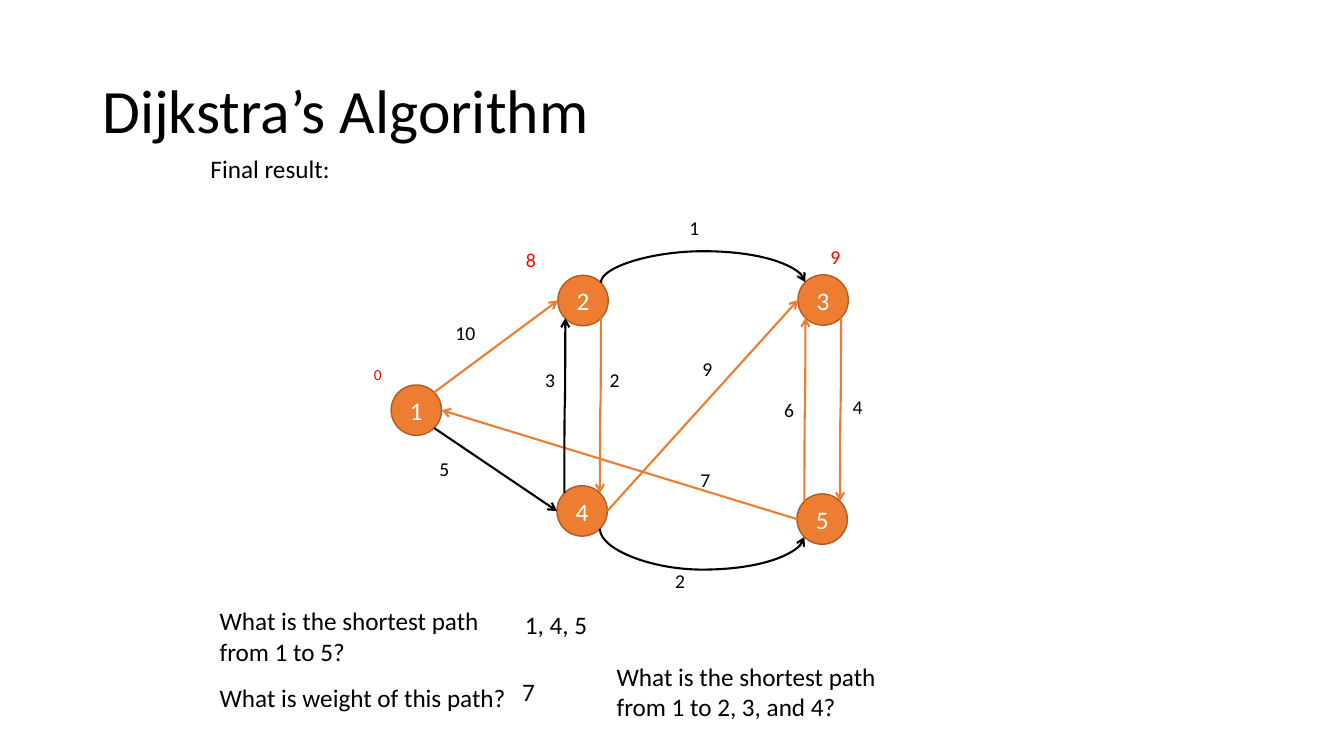
from dataclasses import dataclass
from lxml import etree
from pptx import Presentation
from pptx.dml.color import RGBColor as RGB
from pptx.enum.shapes import MSO_CONNECTOR as CXN, MSO_SHAPE as SHAPE
from pptx.enum.text import MSO_ANCHOR as ANCHOR, MSO_AUTO_SIZE as AUTO, PP_ALIGN as ALIGN
from pptx.oxml.ns import qn
from pptx.util import Pt


@dataclass(frozen=True)
class Theme:
    font: str = "Calibri"
    black: RGB = RGB(0x00, 0x00, 0x00)
    white: RGB = RGB(0xFF, 0xFF, 0xFF)
    red: RGB = RGB(0xFF, 0x00, 0x00)
    orange: RGB = RGB(0xED, 0x7D, 0x31)
    outline: RGB = RGB(0xAF, 0x5C, 0x24)
    title: int = 44
    body: int = 18
    weight: int = 14
    small: int = 11


T = Theme()


def put_text(tf, text, size, color, **paragraph_format):
    p = tf.paragraphs[0]
    for name, value in paragraph_format.items():
        setattr(p, name, value)
    r = p.add_run()
    r.text = text
    for name, value in {"name": T.font, "size": Pt(size)}.items():
        setattr(r.font, name, value)
    r.font.color.rgb = color


def add_text(text, x, y, w, h, size=T.body, color=T.black):
    tf = s.shapes.add_textbox(Pt(x), Pt(y), Pt(w), Pt(h)).text_frame
    for name, value in {"word_wrap": True, "auto_size": AUTO.SHAPE_TO_FIT_TEXT}.items():
        setattr(tf, name, value)
    put_text(tf, text, size, color)


prs = Presentation()
prs.slide_width, prs.slide_height = Pt(960), Pt(540)
s = prs.slides.add_slide(prs.slide_layouts[6])

# Title
tf = s.shapes.add_textbox(Pt(66), Pt(28.8), Pt(828), Pt(104.4)).text_frame
for name, value in {"word_wrap": True, "vertical_anchor": ANCHOR.MIDDLE}.items():
    setattr(tf, name, value)
put_text(tf, "Dijkstra’s Algorithm", T.title, T.black, line_spacing=0.9)

# Graph nodes, by centre
RADIUS = 18
nodes = {1: (297.4, 293), 2: (416.5, 214.7), 3: (588, 214.3),
         4: (415.8, 365), 5: (587.3, 370.8)}
for number, (x, y) in nodes.items():
    sp = s.shapes.add_shape(SHAPE.OVAL, Pt(x - RADIUS), Pt(y - RADIUS),
                            Pt(2 * RADIUS), Pt(2 * RADIUS))
    sp.shadow.inherit = False
    sp.fill.solid()
    sp.fill.fore_color.rgb = T.orange
    sp.line.color.rgb = T.outline
    sp.line.width = Pt(1)
    sp.text_frame.vertical_anchor = ANCHOR.MIDDLE
    put_text(sp.text_frame, str(number), T.body, T.white, alignment=ALIGN.CENTER)

# Graph edges: start node and side, end node and side, colour, kind, bend height
DIAGONAL = 12.73
sides = {"W": (-RADIUS, 0), "E": (RADIUS, 0),
         "NW": (-DIAGONAL, -DIAGONAL), "NE": (DIAGONAL, -DIAGONAL),
         "SW": (-DIAGONAL, DIAGONAL), "SE": (DIAGONAL, DIAGONAL)}
edges = [
    (1, "NE", 2, "W", T.orange, CXN.STRAIGHT, None),
    (1, "SE", 4, "W", T.black, CXN.STRAIGHT, None),
    (5, "W", 1, "E", T.orange, CXN.STRAIGHT, None),
    (4, "E", 3, "W", T.orange, CXN.STRAIGHT, None),
    (2, "SE", 4, "NE", T.orange, CXN.CURVE, None),
    (4, "NW", 2, "SW", T.black, CXN.CURVE, None),
    (5, "NW", 3, "SW", T.orange, CXN.CURVE, None),
    (3, "SE", 5, "NE", T.orange, CXN.CURVE, None),
    (2, "NE", 3, "NW", T.black, CXN.CURVE, 179.3),
    (4, "SE", 5, "SW", T.black, CXN.CURVE, 406.8),
]
for start, start_side, end, end_side, color, kind, bend in edges:
    x1, y1 = (a + b for a, b in zip(nodes[start], sides[start_side]))
    x2, y2 = (a + b for a, b in zip(nodes[end], sides[end_side]))
    ends = (x1, y1, x2, y2)
    if kind == CXN.CURVE:
        # A quarter turn makes the curve leave and arrive vertically
        cx, cy, dx, dy = (x1 + x2) / 2, (y1 + y2) / 2, (x2 - x1) / 2, (y2 - y1) / 2
        ends = (cx - dy, cy + dx, cx + dy, cy - dx)
    c = s.shapes.add_connector(kind, *map(Pt, ends))
    c.line.color.rgb = color
    c.line.width = Pt(1.5)
    spPr = c._element.spPr
    if kind == CXN.CURVE:
        spPr.find(qn("a:xfrm")).set("rot", "5400000")
    if bend is not None:
        guides = spPr.find(qn("a:prstGeom")).get_or_add_avLst()
        ratio = round((bend - y1) / (y2 - y1) * 100000)
        etree.SubElement(guides, qn("a:gd"), name="adj1", fmla=f"val {ratio}")
    etree.SubElement(spPr.find(qn("a:ln")), qn("a:tailEnd"), type="arrow")
    etree.SubElement(spPr, qn("a:effectLst"))

# Edge weights
for text, x, y in [("10", 318.2, 225.4), ("5", 306.7, 322.6), ("3", 382.3, 259.2),
                   ("2", 428.4, 259.2), ("1", 485.3, 150.5), ("2", 475.2, 402.5),
                   ("4", 601.9, 278.6), ("9", 494.6, 251.3), ("7", 493.2, 330.5),
                   ("6", 553, 280.8)]:
    add_text(text, x, y, 33.8, 24.2, T.weight)

# Distances from node 1
add_text("0", 259.9, 257, 30.2, 20.6, T.small, T.red)
add_text("8", 368.6, 173.5, 29.5, 24.2, T.weight, T.red)
add_text("9", 586.1, 171.4, 41.8, 24.2, T.weight, T.red)

# Result, questions and answers
add_text("Final result:", 143.3, 105.8, 463.7, 29.1)
for text, x, y, h in [
    ("What is the shortest path from 1 to 5?", 149.8, 429.1, 50.9),
    ("What is weight of this path?", 149.8, 483.8, 29.1),
    ("1, 4, 5", 367.9, 432, 29.1),
    ("7", 365.8, 479.5, 29.1),
    ("What is the shortest path from 1 to 2, 3, and 4?", 433.4, 468.7, 50.9),
]:
    add_text(text, x, y, 237.6, h)

prs.save("out.pptx")
